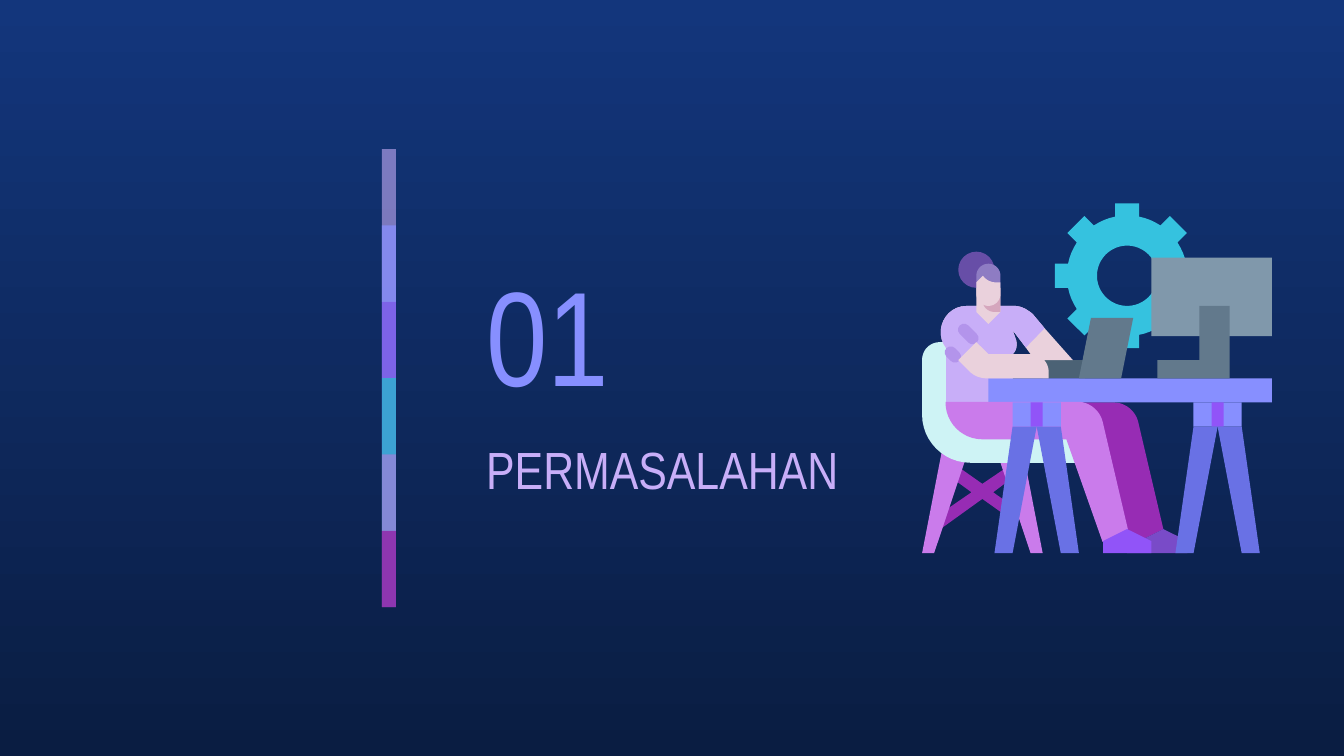
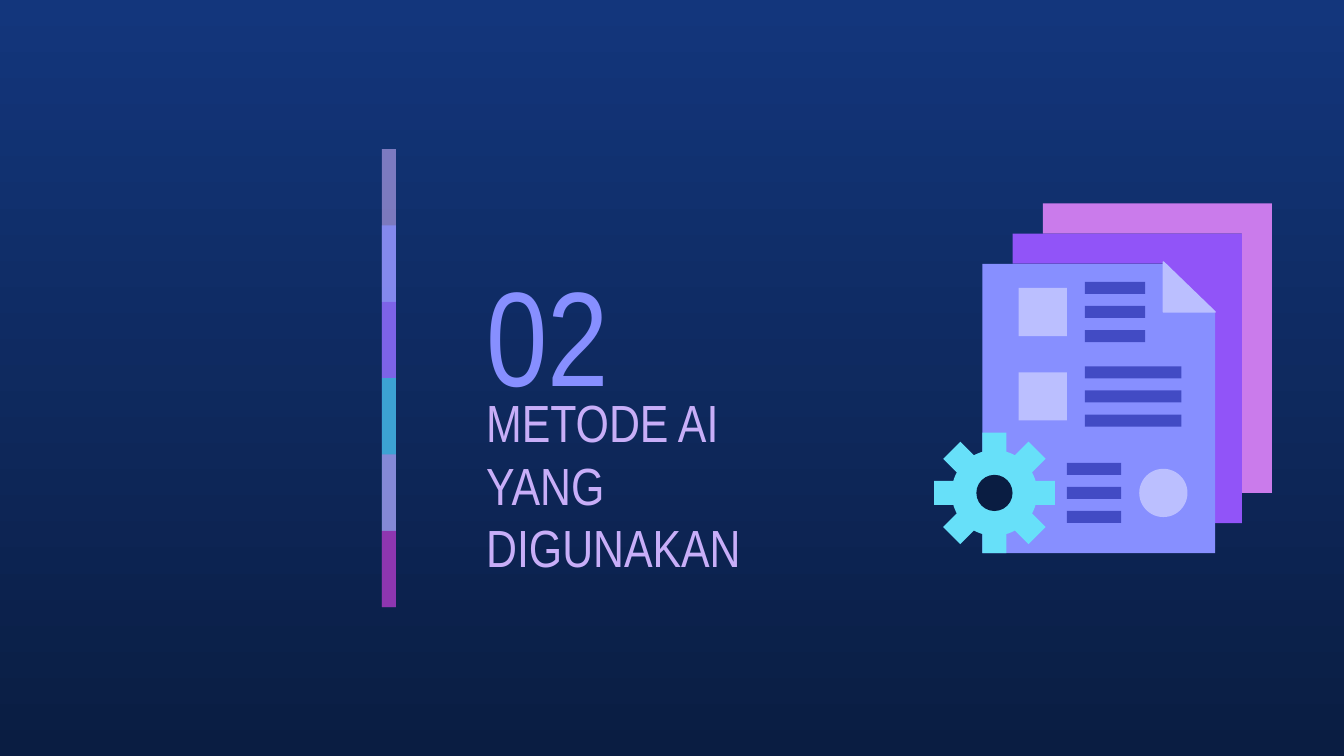
"""Build two section-opener slides, each with a colour rail, a heading and an illustration."""
import math
from dataclasses import dataclass

from lxml import etree
from pptx import Presentation, util as u
from pptx.dml import color
from pptx.enum import shapes, text
from pptx.oxml import ns

C = {
    "bg_top": "13367C", "navy": "0A1D42", "lilac": "C8AEF8", "blue": "878FFF",
    "violet": "9154F8", "teal": "35C2DF", "pink": "CA7BEB", "plum": "972CB4",
    "skin": "EAD1DC", "skin_shade": "D5A6BD", "sleeve": "B394EB", "hair": "674EA7",
    "fringe": "8E7CC3", "back_shoe": "794BC8", "chair": "CEF3F5", "trestle": "6971E5",
    "keyboard": "4B6275", "steel": "62798C", "screen": "8098AB", "cyan": "67E0F9",
    "paper": "BBBFFF", "ink": "424BC4",
}
FONT = "Arial Narrow"
GRID = 58
RECT, OVAL, ROUND = (shapes.MSO_SHAPE.RECTANGLE, shapes.MSO_SHAPE.OVAL,
                     shapes.MSO_SHAPE.ROUNDED_RECTANGLE)


def rgb(name):
    return color.RGBColor.from_string(C[name])


def paint(sp, fill, line=None, alpha=None):
    sp.shadow.inherit = False
    sp.fill.solid()
    sp.fill.fore_color.rgb = rgb(fill)
    if alpha:
        clr = sp.fill._xPr.find(".//" + ns.qn("a:srgbClr"))
        etree.SubElement(clr, ns.qn("a:alpha")).set("val", str(alpha * 1000))
    if line:
        sp.line.color.rgb = rgb(line)
        sp.line.width = u.Pt(0.75)
    else:
        sp.line.fill.background()
    return sp


def trace(outline):
    """Turn 'x,y' points and 'Cx,y x,y x,y' curves into a list of points."""
    pts = []
    tokens = iter(outline.split())
    pair = lambda t: tuple(float(v) for v in t.split(","))
    for t in tokens:
        if t[0] != "C":
            pts.append(pair(t))
            continue
        curve = [pts[-1], pair(t[1:]), pair(next(tokens)), pair(next(tokens))]
        for i in range(1, 13):
            k = i / 12
            w = ((1 - k) ** 3, 3 * k * (1 - k) ** 2, 3 * k * k * (1 - k), k ** 3)
            pts.append(tuple(sum(a * p[n] for a, p in zip(w, curve)) for n in (0, 1)))
    return pts


@dataclass
class Art:
    """A group whose parts sit on a square grid of GRID units inside a box."""
    group: object
    left: float
    top: float
    size: float

    def pt(self, units):
        return u.Pt(units * self.size / GRID)

    def spot(self, x, y):
        return u.Pt(self.left) + self.pt(x), u.Pt(self.top) + self.pt(y)

    def preset(self, kind, x, y, w, h, fill):
        sp = self.group.shapes.add_shape(kind, *self.spot(x, y), self.pt(w), self.pt(h))
        return paint(sp, fill)

    def rect(self, *args):
        return self.preset(RECT, *args)

    def disc(self, cx, cy, r, fill):
        return self.preset(OVAL, cx - r, cy - r, 2 * r, 2 * r, fill)

    def capsule(self, cx, cy, length, width, fill):
        sp = self.preset(ROUND, cx - length / 2, cy - width / 2, length, width, fill)
        sp.adjustments[0] = 0.5
        sp.rotation = 45

    def contours(self, loops, fill, line=None):
        loops = [[self.spot(*p) for p in loop] for loop in loops]
        fb = self.group.shapes.build_freeform(*loops[0][0])
        for i, loop in enumerate(loops):
            if i:
                fb.move_to(*loop[0])
            fb.add_line_segments(loop[1:], close=True)
        return paint(fb.convert_to_shape(), fill, line)

    def form(self, outline, fill, line=None):
        return self.contours([trace(outline)], fill, line)

    def gear(self, cx, cy, tip, root, hole, fill):
        """Draw eight teeth four units wide, with an optional round hole."""
        half = math.asin(2 / root)
        edge = math.atan2(2, tip)
        reach = math.hypot(2, tip)
        polar = lambda r, a: (cx + r * math.cos(a), cy + r * math.sin(a))
        rim = []
        for tooth in range(8):
            a = tooth * math.pi / 4
            rim += [polar(root, a - half), polar(reach, a - edge),
                    polar(reach, a + edge)]
            gap = math.pi / 4 - 2 * half
            rim += [polar(root, a + half + gap * k / 4) for k in range(4)]
        loops = [rim]
        if hole:
            loops.append([polar(hole, -k * math.pi / 24) for k in range(48)])
        self.contours(loops, fill)


def backdrop(s):
    fill = s.background.fill
    fill.gradient()
    fill.gradient_angle = 270
    for stop, name, pos in zip(fill.gradient_stops, ("bg_top", "navy"), (0, 1)):
        stop.color.rgb = rgb(name)
        stop.position = pos


def rail(s, left, top, width, step):
    """Stack translucent bars, each reaching over the next one."""
    bars = [("lilac", 59), ("blue", 74), ("violet", 53),
            ("teal", 76), ("pink", 56), ("plum", 74)]
    for i, (name, alpha) in enumerate(bars):
        span = min(2, len(bars) - i)
        sp = s.shapes.add_shape(RECT, u.Pt(left), u.Pt(top + i * step),
                                u.Pt(width), u.Pt(span * step))
        paint(sp, name, alpha=alpha)


def label(s, left, top, width, height, words, size, name):
    tf = s.shapes.add_textbox(u.Pt(left), u.Pt(top), u.Pt(width), u.Pt(height)).text_frame
    tf.word_wrap = True
    tf.vertical_anchor = text.MSO_ANCHOR.MIDDLE
    tf.margin_left = tf.margin_right = tf.margin_top = tf.margin_bottom = u.Pt(7.2)
    r = tf.paragraphs[0].add_run()
    r.text = words
    r.font.size = u.Pt(size)
    r.font.name = FONT
    r.font.color.rgb = rgb(name)


def chair(art):
    art.form("5.6,43.4 4.5,45.2 8.2,47.9 1.8,52.3 2.9,54.1 10,49 13.8,51.7 14.9,50.1 "
             "11.8,47.9 15.4,45.2 14.3,43.6 10,46.5", "plum")
    art.form("12,40 18,58 20,58 16.5,40", "pink")
    art.form("3.5,40 0,58 2,58 8,40", "pink")
    art.form("3,23 C1.3,23 0,24.3 0,26 0,35 C0,39.4 3.6,43 8,43 27,43 27,38 10,38 "
             "C7.2,38 5,35.8 5,33 5,23", "chair")


def torso(art):
    side = ("7.4,17 C3.8,17 1.8,21.2 4,24 4,33 15,33 15,25 "
            "C15.6,24.5 15.8,23.6 15.6,22.7 15,21 17.2,23.9")
    shoulder = "20.3,20.7 18.3,18.3 C17.4,17.6 16.5,17 15.2,17"
    art.form(f"{side} 18.7,26 25,26 {shoulder}", "skin")
    art.form(f"{side} {shoulder}", "lilac")


def head(art):
    art.form("10,14 10,16 C10,17.1 10.9,18 12,18 13,18 13,14", "skin_shade")
    art.disc(9, 11, 3, "hair")
    art.form("11,10 C9.9,10 9,10.9 9,12 9,14 13,14 13,12 C13,10.9 12.1,10 11,10", "fringe")
    art.form("10.1,12 9,13.1 9,15 C9,16.1 9.9,17 11,17 C12.1,17 13,16.1 13,15 "
             "13,13.1 12.3,13.1 C11.4,13.1 10.6,12.7 10.1,12", "skin")


def trestle(art, x):
    art.rect(x - 4, 33, 8, 4, "blue")
    art.rect(x - 1, 33, 2, 4, "violet")
    for d in (-1, 1):
        art.form(f"{x + 4 * d},37 {x + 7 * d},58 {x + 4 * d},58 {x},37", "trestle")


def desk_scene(art):
    """Draw a woman at a desk with a laptop, a monitor and a gear."""
    art.gear(34, 12, 12, 10, 5, "teal")
    art.rect(20, 26, 7, 3, "keyboard")
    chair(art)
    art.form("10,33 C10,36.3 12.7,39 16,39 30,39 34,56 36,56 40,54 35.8,36.1 "
             "C35.3,34.3 33.6,33 31.8,33", "plum")
    art.form("40,54 36,56 34,56 34,58 44,58 44,56", "back_shoe")
    torso(art)
    art.rect(11, 29, 47, 4, "blue")
    art.capsule(5.1, 25.05, 3, 2, "sleeve")
    art.capsule(7.65, 21.65, 4, 2, "sleeve")
    art.form("9,14 9,18 11,20 13,18 13,14", "skin")
    art.form("9,23 6,26 7.8,27.8 C8.6,28.6 9.6,29 10.7,29 21,29 21,28 "
             "C21,26.3 19.7,25 18,25 11,25", "skin")
    art.form("28,19 26,29 33,29 35,19", "steel")
    art.form("4,33 C4,36.3 6.7,39 10,39 24,39 30,56 34,54 29.8,36.1 "
             "C29.3,34.3 27.6,33 25.8,33", "pink", "pink")
    art.form("34,54 30,56 30,58 38,58 38,56", "violet")
    art.rect(38, 9, 20, 13, "screen")
    art.form("46,17 46,26 39,26 39,29 51,29 51,17", "steel")
    for x in (49, 19):
        trestle(art, x)
    head(art)


def document_scene(art):
    """Draw a stack of sheets with a gear in front."""
    art.form("20,0 20,5 53,5 53,48 58,48 58,0", "pink")
    art.form("15,5 15,10 40,10 48,18 48,53 53,53 53,5", "violet")
    art.form("10,10 10,58 48.6,58 48.6,18.2 40.5,10", "blue")
    art.gear(12, 48, 10, 7.1, 0, "cyan")
    art.disc(12, 48, 3, "navy")
    for y in (14, 28):
        art.rect(16, y, 8, 8, "paper")
    art.disc(40, 48, 4, "paper")
    for x, y, width in ((27, 13, 10), (27, 27, 16), (24, 43, 9)):
        for row in range(3):
            art.rect(x, y + 4 * row, width, 2, "ink")
    art.form("40,9.7 40,18 48.6,18", "paper", "paper")


def section(prs, number, title, title_height, scene):
    s = prs.slides.add_slide(prs.slide_layouts[6])
    backdrop(s)
    rail(s, 204.6, 79.9, 7.5, 40.9)
    label(s, 253.4, 130, 126, 97, number, 72, "blue")
    label(s, 253.4, 227, 206.6, title_height, title, 28, "lilac")
    scene(Art(s.shapes.add_group_shape(), 494, 109, 187.4))


def main():
    prs = Presentation()
    prs.slide_width, prs.slide_height = u.Pt(720), u.Pt(405)
    section(prs, "01", "PERMASALAHAN", 48.2, desk_scene)
    section(prs, "02", "METODE AI YANG DIGUNAKAN", 64.8, document_scene)
    prs.save("out.pptx")


if __name__ == "__main__":
    main()
